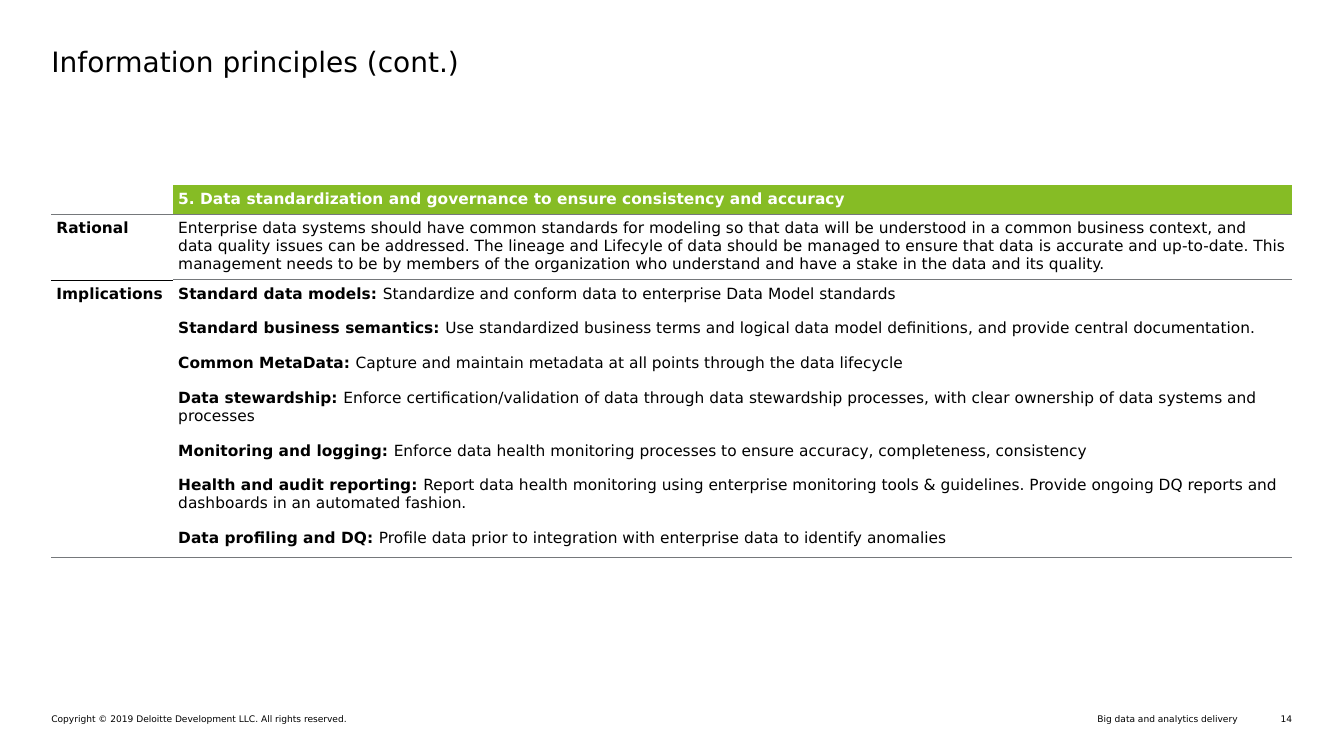
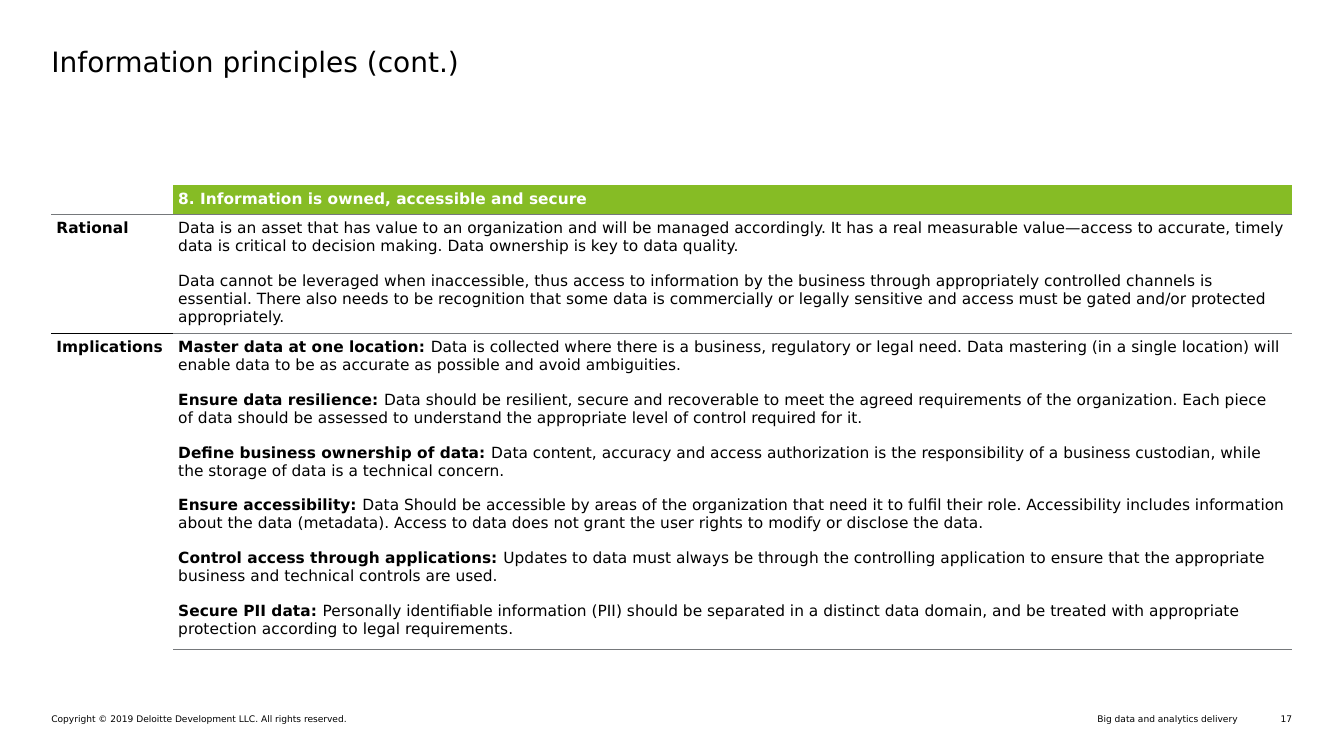
"""Build two slides of information principles, each with a table."""
from lxml import etree
from pptx import Presentation
from pptx.dml.color import RGBColor
from pptx.enum.text import MSO_ANCHOR, PP_ALIGN
from pptx.oxml.ns import qn
from pptx.util import Pt

LEFT, RIGHT = PP_ALIGN.LEFT, PP_ALIGN.RIGHT
TOP = MSO_ANCHOR.TOP
COLORS = {"text": "000000", "white": "FFFFFF", "green": "86BC25", "rule": "75787B"}
FONT = "DejaVu Sans"
EDGE, WIDTH = 36.7, 886.3
TITLE = "Information principles (cont.)"
RULE = ("rule", 0.5)
THIN = ("text", 0.25)
BLANK = ("white", 0.5)

PAGES = [
    {
        "number": "14",
        "head": "5. Data standardization and governance to ensure consistency and accuracy",
        "heights": (20.6, 46.4, 198),
        "last": RULE,
        "reason": [
            ("", "Enterprise data systems should have common standards for modeling so that data will be understood in a common business context, and data quality issues can be addressed. The lineage and Lifecyle of data should be managed to ensure that data is accurate and up-to-date. This management needs to be by members of the organization who understand and have a stake in the data and its quality."),
        ],
        "effects": [
            ("Standard data models:", "Standardize and conform data to enterprise Data Model standards"),
            ("Standard business semantics:", "Use standardized business terms and logical data model definitions, and provide central documentation."),
            ("Common MetaData:", "Capture and maintain metadata at all points through the data lifecycle"),
            ("Data stewardship:", "Enforce certification/validation of data through data stewardship processes, with clear ownership of data systems and processes"),
            ("Monitoring and logging:", "Enforce data health monitoring processes to ensure accuracy, completeness, consistency"),
            ("Health and audit reporting:", "Report data health monitoring using enterprise monitoring tools & guidelines. Provide ongoing DQ reports and dashboards in an automated fashion."),
            ("Data profiling and DQ:", "Profile data prior to integration with enterprise data to identify anomalies"),
        ],
    },
    {
        "number": "17",
        "head": "8. Information is owned, accessible and secure",
        "heights": (20.3, 83.4, 221.4),
        "last": BLANK,
        "reason": [
            ("", "Data is an asset that has value to an organization and will be managed accordingly. It has a real measurable value—access to accurate, timely data is critical to decision making. Data ownership is key to data quality."),
            ("", "Data cannot be leveraged when inaccessible, thus access to information by the business through appropriately controlled channels is essential. There also needs to be recognition that some data is commercially or legally sensitive and access must be gated and/or protected appropriately."),
        ],
        "effects": [
            ("Master data at one location:", "Data is collected where there is a business, regulatory or legal need. Data mastering (in a single location) will enable data to be as accurate as possible and avoid ambiguities."),
            ("Ensure data resilience:", "Data should be resilient, secure and recoverable to meet the agreed requirements of the organization. Each piece of data should be assessed to understand the appropriate level of control required for it."),
            ("Define business ownership of data:", "Data content, accuracy and access authorization is the responsibility of a business custodian, while the storage of data is a technical concern."),
            ("Ensure accessibility:", "Data Should be accessible by areas of the organization that need it to fulfil their role. Accessibility includes information about the data (metadata). Access to data does not grant the user rights to modify or disclose the data."),
            ("Control access through applications:", "Updates to data must always be through the controlling application to ensure that the appropriate business and technical controls are used."),
            ("Secure PII data:", "Personally identifiable information (PII) should be separated in a distinct data domain, and be treated with appropriate protection according to legal requirements."),
        ],
    },
]


class Deck:
    def __init__(self):
        self.show = Presentation()
        self.show.slide_width, self.show.slide_height = Pt(960), Pt(540)
        self.slide = None

    def page(self, number):
        self.slide = self.show.slides.add_slide(self.show.slide_layouts[5])
        self.title(TITLE)
        self.label("Copyright © 2019 Deloitte Development LLC. All rights reserved.", EDGE, 422, LEFT)
        self.label("Big data and analytics delivery", 499, 385.2, RIGHT)
        self.label(number, 898.5, 24.5, RIGHT)

    def style(self, para, size, color="text", align=LEFT):
        para.alignment = align
        para.font.name, para.font.size = FONT, Pt(size)
        para.font.color.rgb = RGBColor.from_string(COLORS[color])

    def frame(self, shape, text, size, align=LEFT):
        frame = shape.text_frame
        frame.margin_left = frame.margin_right = frame.margin_top = frame.margin_bottom = 0
        frame.word_wrap = True
        frame.vertical_anchor = TOP
        frame.text = text
        self.style(frame.paragraphs[0], size, align=align)

    def title(self, text):
        shape = self.slide.shapes.title
        shape.left, shape.top = Pt(EDGE), Pt(31.7)
        shape.width, shape.height = Pt(WIDTH), Pt(54.7)
        self.frame(shape, text, 20)

    def label(self, text, left, width, align):
        box = self.slide.shapes.add_textbox(Pt(left), Pt(509.8), Pt(width), Pt(8))
        self.frame(box, text, 6.5, align)

    def border(self, cell, top, bottom):
        props = cell._tc.get_or_add_tcPr()
        for tag, rule in (("lnL", None), ("lnR", None), ("lnT", top), ("lnB", bottom)):
            line = etree.SubElement(props, qn("a:" + tag))
            if rule is None:
                etree.SubElement(line, qn("a:noFill"))
                continue
            color, width = rule
            line.set("w", str(Pt(width)))
            fill = etree.SubElement(line, qn("a:solidFill"))
            etree.SubElement(fill, qn("a:srgbClr"), val=COLORS[color])

    def cell(self, cell, items, top, bottom, fill="white", color="text"):
        self.border(cell, top, bottom)
        cell.fill.solid()
        cell.fill.fore_color.rgb = RGBColor.from_string(COLORS[fill])
        cell.margin_left = cell.margin_right = cell.margin_top = cell.margin_bottom = Pt(3.6)
        frame = cell.text_frame
        for index, (lead, text) in enumerate(items):
            para = frame.add_paragraph() if index else frame.paragraphs[0]
            self.style(para, 11, color)
            para.space_after = Pt(12 if index < len(items) - 1 else 0)
            if lead:
                run = para.add_run()
                run.text = lead + " " if text else lead
                run.font.bold = True
            if text:
                para.add_run().text = text

    def table(self, head, reason, effects, heights, last):
        shape = self.slide.shapes.add_table(3, 2, Pt(EDGE), Pt(132.4), Pt(WIDTH), Pt(sum(heights)))
        table = shape.table
        table.first_row = table.horz_banding = False
        for column, width in zip(table.columns, (87, WIDTH - 87)):
            column.width = Pt(width)
        for row, height in zip(table.rows, heights):
            row.height = Pt(height)
        self.cell(table.cell(0, 0), [("", "")], None, RULE)
        self.cell(table.cell(0, 1), [(head, "")], None, RULE, "green", "white")
        self.cell(table.cell(1, 0), [("Rational", "")], RULE, THIN)
        self.cell(table.cell(1, 1), reason, RULE, RULE)
        self.cell(table.cell(2, 0), [("Implications", "")], THIN, last)
        self.cell(table.cell(2, 1), effects, RULE, RULE)


def main():
    deck = Deck()
    for page in PAGES:
        deck.page(page["number"])
        deck.table(page["head"], page["reason"], page["effects"], page["heights"], page["last"])
    deck.show.save("out.pptx")


if __name__ == "__main__":
    main()
